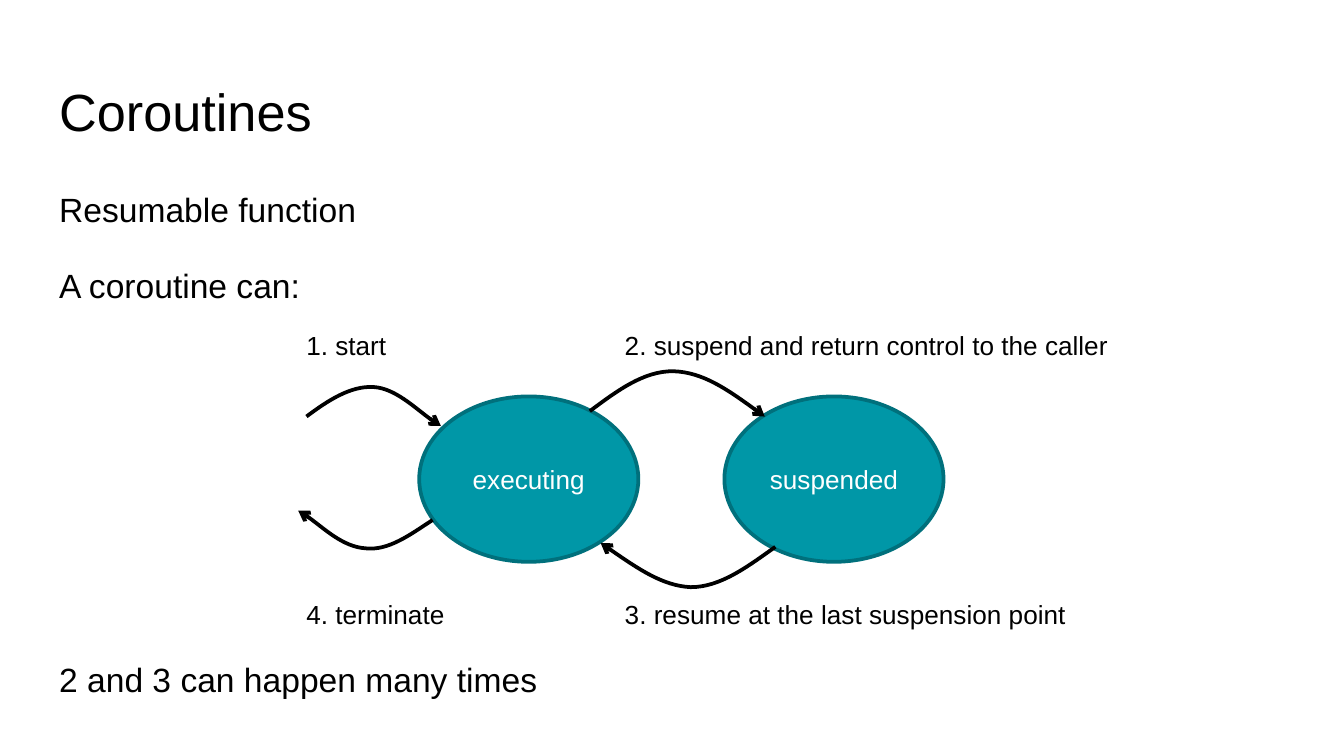
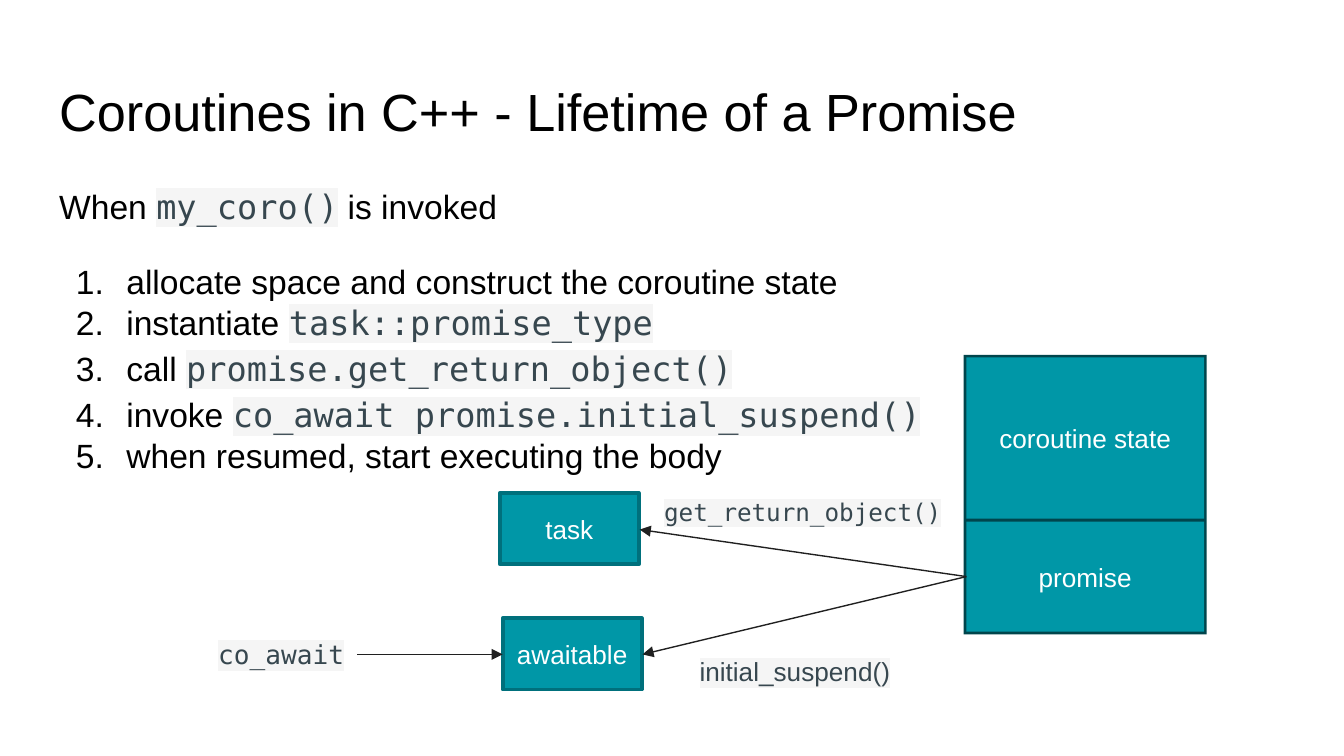
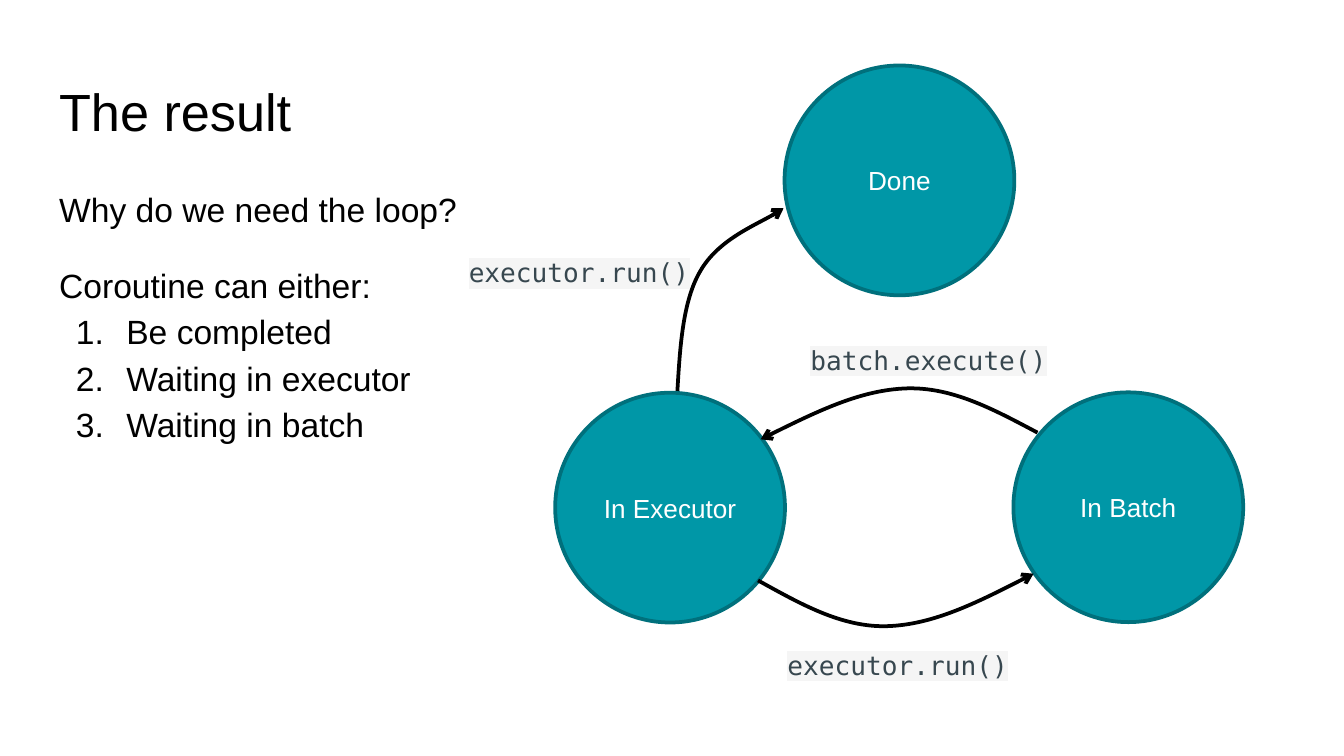
from typing import NamedTuple

from lxml.etree import SubElement
from pptx import Presentation
from pptx.dml.color import RGBColor
from pptx.enum.shapes import MSO_CONNECTOR, MSO_SHAPE
from pptx.enum.text import MSO_ANCHOR, MSO_AUTO_SIZE, PP_ALIGN
from pptx.oxml.ns import qn
from pptx.slide import Slide
from pptx.text.text import TextFrame
from pptx.util import Pt

BLACK = RGBColor(0x00, 0x00, 0x00)
WHITE = RGBColor(0xFF, 0xFF, 0xFF)
TEAL = RGBColor(0x00, 0x97, 0xA7)
TEAL_EDGE = RGBColor(0x00, 0x70, 0x7C)
TEAL_DARK = RGBColor(0x00, 0x45, 0x4C)
ARROW_GRAY = RGBColor(0x20, 0x20, 0x20)
CODE_INK = RGBColor(0x37, 0x47, 0x4F)
CODE_BACK = RGBColor(0xF5, 0xF5, 0xF5)
SANS = "Arial"
MONO = "DejaVu Sans Mono"
TITLE_AREA = (24.5, 35.3, 671, 45.4)
BODY_AREA = (24.5, 90.7, 671, 269.3)

Point = tuple[float, float]
Area = tuple[float, float, float, float]


class Node(NamedTuple):
    text: str
    area: Area
    shape: MSO_SHAPE = MSO_SHAPE.OVAL
    fill: RGBColor = TEAL
    edge: RGBColor | None = TEAL_EDGE


class Label(NamedTuple):
    text: str
    area: Area
    align: PP_ALIGN = PP_ALIGN.CENTER
    size: float = 14
    code_font: str = MONO


class Curve(NamedTuple):
    """A start point followed by two groups of three cubic Bezier points."""
    points: list[Point]


class Arrow(NamedTuple):
    start: Point
    end: Point


class Item(NamedTuple):
    text: str
    line: float = 1.15
    before: float = 0
    after: float = 0
    numbered: bool = False


def add_text(frame: TextFrame, text: str, *, size: float = 14,
             color: RGBColor = BLACK, align: PP_ALIGN = PP_ALIGN.LEFT,
             line: float = 1.0, before: float = 0, after: float = 0,
             numbered: bool = False, code_font: str = MONO) -> None:
    """Write one paragraph; parts between backticks are set as code."""
    para = frame.paragraphs[0]
    if para.runs:
        para = frame.add_paragraph()
    para.alignment = align
    para.line_spacing = line
    para.space_before, para.space_after = Pt(before), Pt(after)
    props = para._p.get_or_add_pPr()
    props.set("marL", str(Pt(36 if numbered else 0)))
    props.set("indent", str(Pt(-27 if numbered else 0)))
    if numbered:
        bullet_color = SubElement(props, qn("a:buClr"))
        SubElement(bullet_color, qn("a:srgbClr"), val=str(color))
        SubElement(props, qn("a:buFont"), typeface=SANS)
        SubElement(props, qn("a:buAutoNum"), type="arabicPeriod")
    else:
        SubElement(props, qn("a:buNone"))
    for index, part in enumerate(text.split("`")):
        if not part:
            continue
        is_code = index % 2 == 1
        span = para.add_run()
        span.text = part
        span.font.size = Pt(size)
        span.font.name = code_font if is_code else SANS
        span.font.color.rgb = CODE_INK if is_code else color
        if is_code:
            run_props = span._r.get_or_add_rPr()
            highlight = SubElement(run_props, qn("a:highlight"))
            SubElement(highlight, qn("a:srgbClr"), val=str(CODE_BACK))
            run_props.find(qn("a:solidFill")).addnext(highlight)


def set_frame(frame: TextFrame, side: float = 7.2, top: float = 3.6,
              anchor: MSO_ANCHOR = MSO_ANCHOR.TOP) -> None:
    frame.word_wrap = True
    frame.auto_size = MSO_AUTO_SIZE.NONE
    frame.vertical_anchor = anchor
    frame.margin_left = frame.margin_right = Pt(side)
    frame.margin_top = frame.margin_bottom = Pt(top)


def fill_placeholder(box, area: Area, items: list[Item], size: float,
                     top: float = 7.2) -> None:
    box.left, box.top, box.width, box.height = map(Pt, area)
    set_frame(box.text_frame, top=top)
    for item in items:
        add_text(box.text_frame, size=size, **item._asdict())


def add_slide(deck, title: str, items: list[Item], area: Area = BODY_AREA,
              top: float = 7.2) -> Slide:
    page = deck.slides.add_slide(deck.slide_layouts[1])
    fill_placeholder(page.shapes.title, TITLE_AREA, [Item(title, 1.0)], 28)
    fill_placeholder(page.placeholders[1], area, items, 18, top)
    return page


def add_node(page: Slide, node: Node) -> None:
    box = page.shapes.add_shape(node.shape, *map(Pt, node.area))
    box.shadow.inherit = False
    box.fill.solid()
    box.fill.fore_color.rgb = node.fill
    if node.edge is None:
        box.line.fill.background()
    else:
        box.line.color.rgb = node.edge
        box.line.width = Pt(2)
    if node.text:
        set_frame(box.text_frame, anchor=MSO_ANCHOR.MIDDLE)
        add_text(box.text_frame, node.text, color=WHITE, align=PP_ALIGN.CENTER)


def add_label(page: Slide, label: Label) -> None:
    box = page.shapes.add_textbox(*map(Pt, label.area))
    set_frame(box.text_frame)
    add_text(box.text_frame, label.text, size=label.size, align=label.align,
             code_font=label.code_font)


def style_arrow(shape, color: RGBColor, width: float, head: str) -> None:
    shape.line.color.rgb = color
    shape.line.width = Pt(width)
    SubElement(shape.element.spPr.find(qn("a:ln")), qn("a:tailEnd"), type=head)


def add_curve(page: Slide, curve: Curve) -> None:
    start, *rest = [(Pt(x), Pt(y)) for x, y in curve.points]
    builder = page.shapes.build_freeform(*start)
    builder.add_line_segments(rest, close=False)
    shape = builder.convert_to_shape()
    outline = next(shape.element.spPr.iter(qn("a:path")))
    segments = outline.findall(qn("a:lnTo"))
    for first in range(0, len(segments), 3):
        bend = SubElement(outline, qn("a:cubicBezTo"))
        for segment in segments[first:first + 3]:
            bend.append(segment[0])
            outline.remove(segment)
    shape.fill.background()
    shape.shadow.inherit = False
    style_arrow(shape, BLACK, 2, "arrow")


def add_arrow(page: Slide, arrow: Arrow) -> None:
    line = page.shapes.add_connector(
        MSO_CONNECTOR.STRAIGHT, *map(Pt, arrow.start + arrow.end))
    style_arrow(line, ARROW_GRAY, 0.75, "triangle")
    SubElement(line.element.spPr, qn("a:effectLst"))


DRAWERS = {Node: add_node, Label: add_label, Curve: add_curve, Arrow: add_arrow}


def draw(page: Slide, parts: list) -> None:
    for part in parts:
        DRAWERS[type(part)](page, part)


def build_coroutines(deck) -> None:
    page = add_slide(deck, "Coroutines", [
        Item("Resumable function"),
        Item("A coroutine can:", before=16),
        Item("2 and 3 can happen many times", before=186),
    ])
    left, right, upper, lower = 157, 327.6, 172.8, 316.8
    draw(page, [
        Node("suspended", (388.1, 212.4, 117.4, 88.6)),
        Node("executing", (224.6, 212.4, 117.4, 88.6)),
        Curve([(316, 220.3), (330.5, 209.5), (344.9, 198.7), (360.7, 198.9),
               (376.6, 199.4), (393.1, 211), (409.7, 223.2)]),
        Curve([(415.4, 293), (400.3, 303.8), (385.9, 314.6), (370.1, 314.6),
               (355, 313.9), (338.4, 302.4), (321.8, 290.9)]),
        Curve([(164.2, 223.2), (175.7, 214.6), (187.9, 206.6), (200.2, 207.4),
               (211.7, 208.1), (228.2, 223.9), (236.2, 228.2)]),
        Curve([(231.8, 278.6), (219.6, 286.6), (208.1, 295.2), (195.8, 293.8),
               (183.6, 293), (167, 277.2), (159.8, 273.6)]),
        Label("3. resume at the last suspension point",
              (right, lower, 289.4, 24.5), PP_ALIGN.LEFT),
        Label("2. suspend and return control to the caller",
              (right, upper, 296.6, 24.5), PP_ALIGN.LEFT),
        Label("1. start", (left, upper, 58.5, 24.5), PP_ALIGN.LEFT),
        Label("4. terminate", (left, lower, 89.3, 24.5), PP_ALIGN.LEFT),
    ])


def build_promise_lifetime(deck) -> None:
    page = add_slide(deck, "Coroutines in C++ - Lifetime of a Promise", [
        Item("When `my_coro()` is invoked", 1.0, after=16),
        Item("allocate space and construct the coroutine state", 1.14,
             numbered=True),
        Item("instantiate `task::promise_type`", 1.0, numbered=True),
        Item("call `promise.get_return_object()`", numbered=True),
        Item("invoke `co_await promise.initial_suspend()`", numbered=True),
        Item("when resumed, start executing the body", 1.0, numbered=True),
    ], area=(24.5, 95.8, 477.4, 163.4), top=3.6)
    block = MSO_SHAPE.RECTANGLE
    promise_side = (517.7, 308.9)
    draw(page, [
        Node("", (516.2, 190.1, 130.3, 149.8), block, TEAL_DARK, None),
        Node("coroutine state", (517.7, 191.5, 127.4, 86.4), block, edge=None),
        Node("promise", (517.7, 279.4, 127.4, 59), block, edge=None),
        Node("task", (267.8, 264.2, 74.5, 38.2), block),
        Arrow(promise_side, (342.7, 283.7)),
        Label("`get_return_object()`", (347.8, 262.8, 164.2, 23), size=13),
        Node("awaitable", (269.3, 331.2, 74.5, 38.2), block),
        Arrow(promise_side, (344.2, 350.6)),
        Label("`initial_suspend()`", (349.9, 347.8, 151.9, 24.5),
              code_font=SANS),
        Arrow((191.5, 350.6), (269.3, 350.6)),
        Label("`co_await`", (99.4, 338.4, 92.2, 24.5), PP_ALIGN.RIGHT),
    ])


def build_result(deck) -> None:
    page = add_slide(deck, "The result", [
        Item("Why do we need the loop?", after=16),
        Item("Coroutine can either:"),
        Item("Be completed", numbered=True),
        Item("Waiting in executor", numbered=True),
        Item("Waiting in batch", numbered=True),
    ])
    circle = 123.1
    draw(page, [
        Node("In Executor", (297.4, 210.4, circle, circle)),
        Node("Done", (420.3, 35.1, circle, circle)),
        Node("In Batch", (542.9, 210.2, circle, circle)),
        Curve([(555.8, 231.8), (532.8, 219.6), (510.5, 207.4), (486, 208.1),
               (461.5, 208.8), (434.9, 221.8), (407.5, 235.4)]),
        Curve([(406.1, 311), (428.4, 323.3), (450.7, 336.2), (475.2, 335.5),
               (499.7, 334.8), (527, 321.1), (553.7, 307.4)]),
        Curve([(362.9, 209.5), (364.3, 185.8), (365.8, 161.3), (375.1, 145.4),
               (384.5, 128.9), (413.3, 116.6), (419.8, 111.6)]),
        Label("`executor.run()`", (413.3, 344.2, 135.4, 24.5)),
        Label("`executor.run()`", (242.6, 133.9, 135.4, 24.5)),
        Label("`batch.execute()`", (425.5, 180.7, 144, 24.5)),
    ])


def main() -> None:
    deck = Presentation()
    deck.slide_width, deck.slide_height = Pt(720), Pt(405)
    build_coroutines(deck)
    build_promise_lifetime(deck)
    build_result(deck)
    deck.save("out.pptx")


if __name__ == "__main__":
    main()
